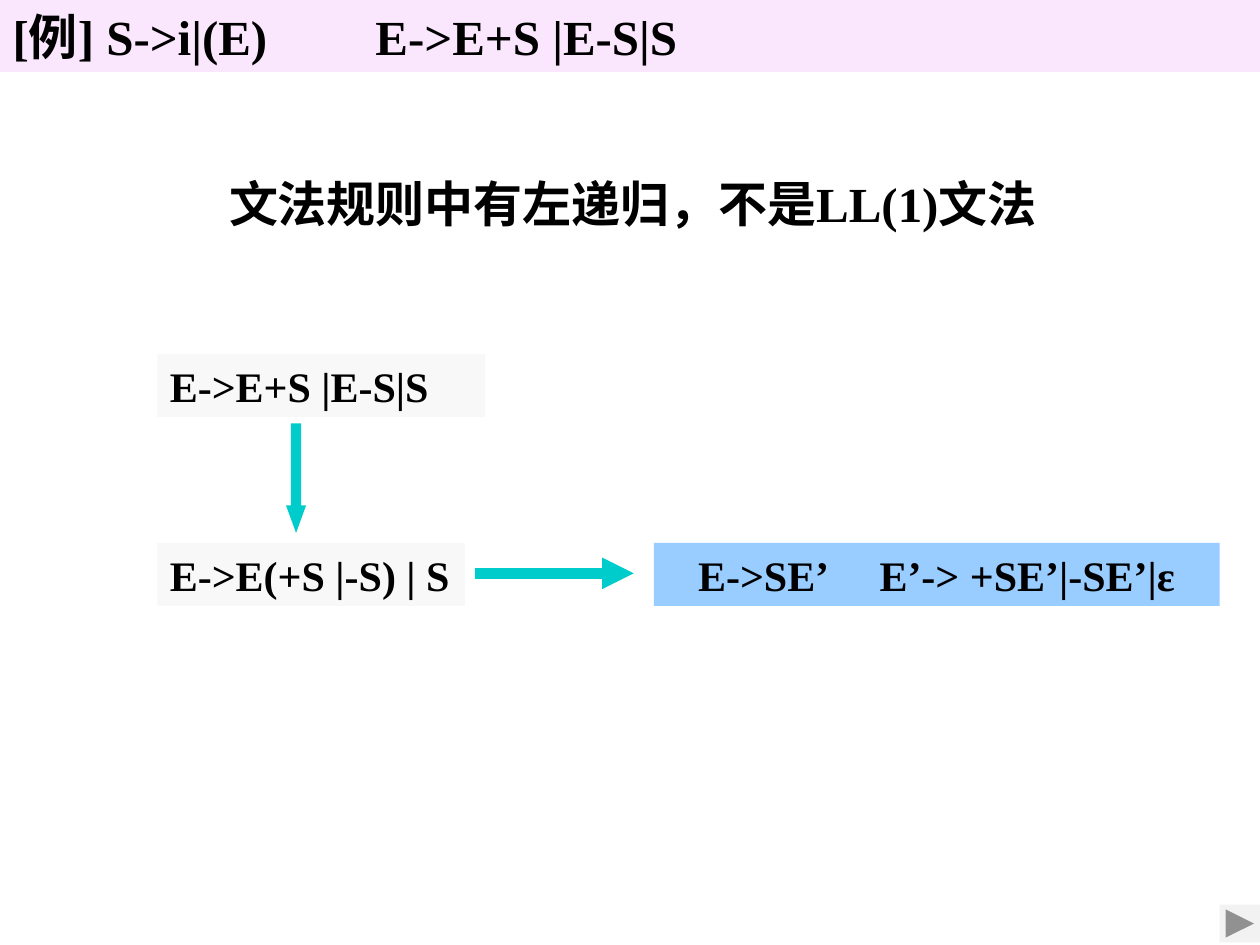
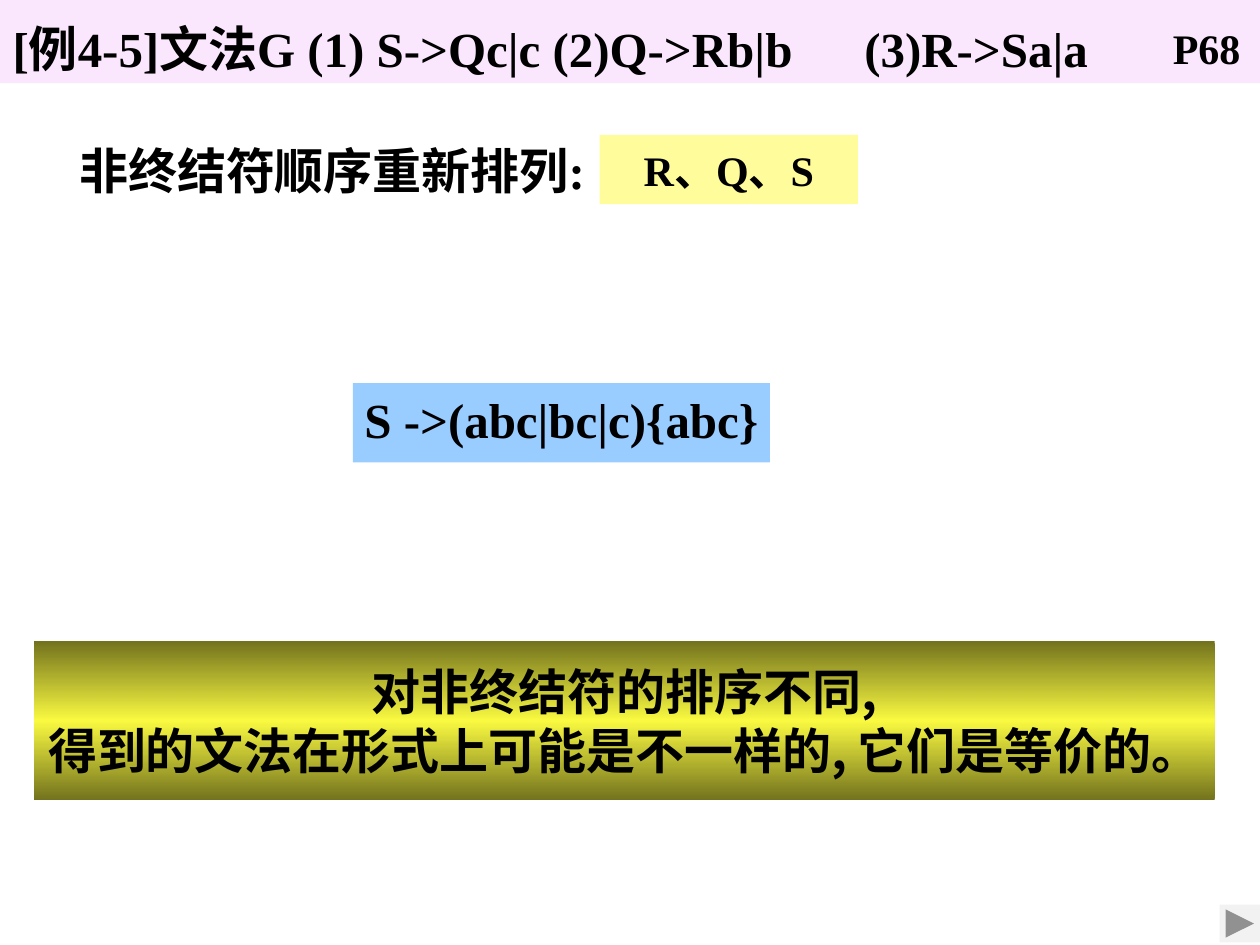
from copy import deepcopy

from lxml.etree import SubElement
from pptx import Presentation
from pptx.dml.color import RGBColor
from pptx.enum.shapes import MSO_CONNECTOR, MSO_SHAPE
from pptx.enum.text import MSO_ANCHOR, MSO_AUTO_SIZE, PP_ALIGN
from pptx.oxml.ns import qn
from pptx.util import Inches, Pt

BLACK = "000000"
BAND = "FBE7FD"
GREY = "F8F8F8"
BLUE = "99CCFF"
YELLOW = "FFFD9B"
TEAL = "00CCCC"
BUTTON = "F2F2F2"
OLIVE = "73731E"
BRIGHT = "F9F941"
LATIN = "Times New Roman"
CHINESE = "Noto Sans CJK SC"
TITLE_ONLY = 5


def color(value):
    return RGBColor.from_string(value)


class Lesson:
    def __init__(self):
        self.deck = Presentation()
        self.deck.slide_width = Inches(10)
        self.deck.slide_height = Inches(7.5)
        self.page = None

    def new_page(self, title, height, tab, spacing=1.0):
        self.page = self.deck.slides.add_slide(self.deck.slide_layouts[TITLE_ONLY])
        band = self.page.shapes.title
        band.left, band.top = Inches(0), Inches(0)
        band.width, band.height = Inches(10), Inches(height)
        band.fill.solid()
        band.fill.fore_color.rgb = color(BAND)
        self.set_text(band, title, tab=tab)
        band.text_frame.paragraphs[0].line_spacing = spacing
        self.shape(9.68, 7.18, 0.32, 0.3, BUTTON, MSO_SHAPE.ACTION_BUTTON_FORWARD_OR_NEXT)

    def set_text(self, box, text, size=28, align=PP_ALIGN.LEFT, anchor=MSO_ANCHOR.TOP,
                 wrap=True, tab=None, font=LATIN):
        frame = box.text_frame
        frame.word_wrap = wrap
        frame.auto_size = MSO_AUTO_SIZE.NONE
        frame.vertical_anchor = anchor
        frame.text = text
        for para in frame.paragraphs:
            para.alignment = align
            properties = para._p.get_or_add_pPr()
            if tab:
                tabs = SubElement(properties, qn("a:tabLst"))
                SubElement(tabs, qn("a:tab"), pos=str(Inches(tab)), algn="l")
            para.font.size = Pt(size)
            para.font.bold = True
            para.font.color.rgb = color(BLACK)
            para.font.name = font
            SubElement(properties.find(qn("a:defRPr")), qn("a:ea"), typeface=CHINESE)

    def text(self, left, top, width, height, text, **style):
        box = self.page.shapes.add_textbox(
            Inches(left), Inches(top), Inches(width), Inches(height))
        self.set_text(box, text, **style)

    def shape(self, left, top, width, height, fill, kind=MSO_SHAPE.RECTANGLE):
        shape = self.page.shapes.add_shape(
            kind, Inches(left), Inches(top), Inches(width), Inches(height))
        shape.shadow.inherit = False
        shape.line.fill.background()
        shape.fill.solid()
        shape.fill.fore_color.rgb = color(fill)
        return shape

    def box(self, left, top, width, height, fill, text, **style):
        shape = self.shape(left, top, width, height, fill)
        self.set_text(shape, text, **style)
        return shape

    def gradient(self, shape, values):
        shape.fill.gradient()
        shape.fill.gradient_angle = 90
        stops = shape._element.spPr.find(qn("a:gradFill")).find(qn("a:gsLst"))
        while len(stops) < len(values):
            stops.append(deepcopy(stops[0]))
        for index, (stop, value) in enumerate(zip(shape.fill.gradient_stops, values)):
            stop.position = index / (len(values) - 1)
            stop.color.rgb = color(value)

    def arrow(self, left, right, height):
        line = self.page.shapes.add_connector(
            MSO_CONNECTOR.STRAIGHT, Inches(left), Inches(height), Inches(right), Inches(height))
        line.line.color.rgb = color(TEAL)
        line.line.width = Pt(6)
        properties = line._element.spPr
        SubElement(properties.find(qn("a:ln")), qn("a:tailEnd"), type="triangle")
        SubElement(properties, qn("a:effectLst"))


def left_recursion(lesson):
    lesson.new_page("[例] S->i|(E)\tE->E+S |E-S|S", 0.57, tab=2.88)
    lesson.text(1.72, 1.33, 7.53, 0.57, "文法规则中有左递归，不是LL(1)文法")
    lesson.box(1.25, 2.81, 2.6, 0.5, GREY, "E->E+S |E-S|S", size=24)
    lesson.box(1.25, 4.31, 2.44, 0.5, GREY, "E->E(+S |-S) | S", size=24)
    down = lesson.shape(2.27, 3.36, 0.16, 0.87, TEAL, MSO_SHAPE.DOWN_ARROW)
    down.adjustments[1] = 1.37
    lesson.arrow(3.77, 5.03, 4.55)
    result = lesson.box(5.19, 4.31, 4.49, 0.5, BLUE,
                        "E->SE’\tE’-> +SE’|-SE’|ε", size=24, tab=1.44)
    result.text_frame.margin_left = Inches(0.35)


def reordering(lesson):
    centred = {"align": PP_ALIGN.CENTER, "wrap": False}
    middle = {**centred, "anchor": MSO_ANCHOR.MIDDLE}
    lesson.new_page("[例4-5]文法G (1) S->Qc|c (2)Q->Rb|b\t(3)R->Sa|a", 0.66,
                    tab=6.76, spacing=1.2)
    lesson.text(9.21, 0.13, 0.79, 0.5, "P68", size=24)
    lesson.text(0.51, 1.07, 4.25, 0.55, "非终结符顺序重新排列:", **middle)
    lesson.box(4.76, 1.07, 2.05, 0.55, YELLOW, "R、Q、S", size=24, **middle)
    lesson.box(2.8, 3.04, 3.31, 0.63, BLUE, "S ->(abc|bc|c){abc}", **centred)
    remark = lesson.box(0.27, 5.09, 9.37, 1.26, BRIGHT,
                        "对非终结符的排序不同,\n得到的文法在形式上可能是不一样的, 它们是等价的。",
                        font=CHINESE, **middle)
    lesson.gradient(remark, [OLIVE, BRIGHT, OLIVE])


def main():
    lesson = Lesson()
    left_recursion(lesson)
    reordering(lesson)
    lesson.deck.save("out.pptx")


if __name__ == "__main__":
    main()
